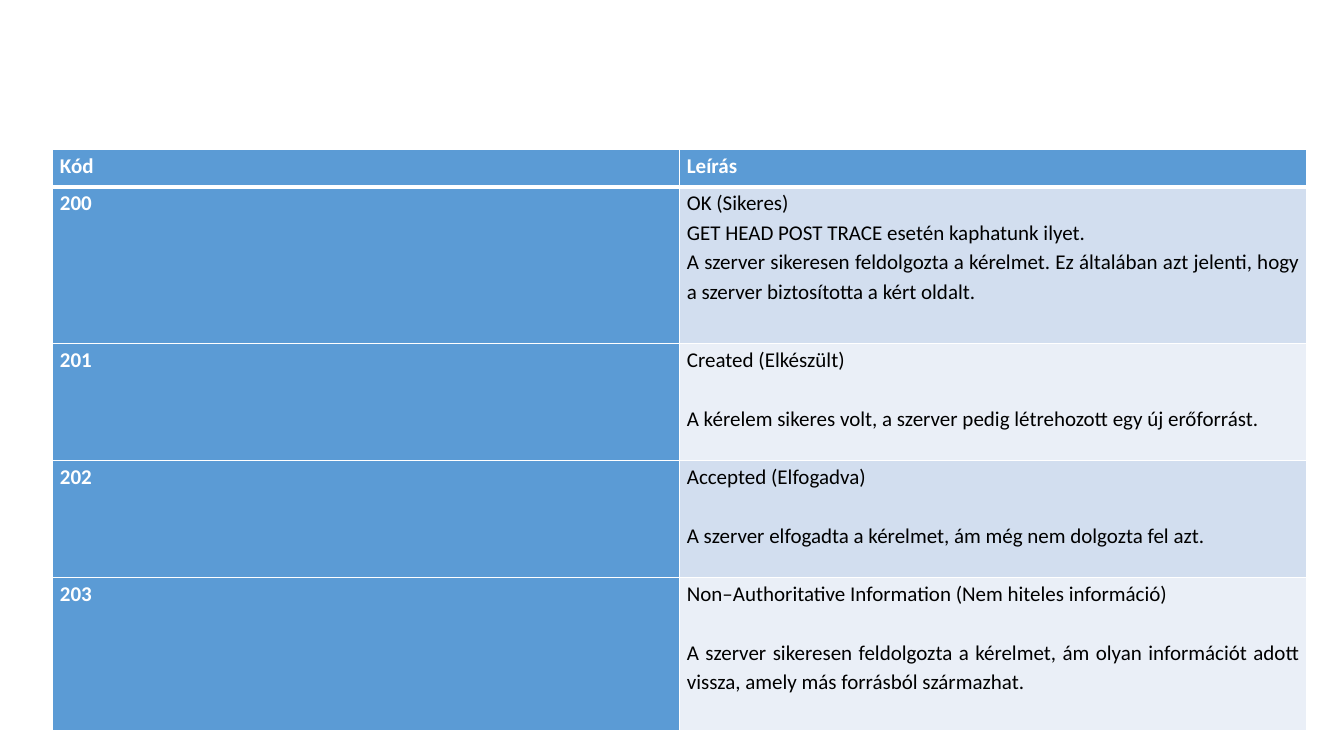
"""Build a slide with a table of HTTP success status codes."""
from dataclasses import dataclass

from lxml.etree import SubElement
from pptx import Presentation
from pptx.dml.color import RGBColor
from pptx.enum.text import PP_ALIGN
from pptx.oxml.ns import qn
from pptx.table import _Cell
from pptx.util import Cm, Length, Pt


@dataclass(frozen=True)
class Theme:
    font: str = "Calibri"
    size: Length = Pt(15)
    line_spacing: float = 1.15
    blue: str = "5B9BD5"
    bands: tuple[str, str] = ("D2DEEF", "EAEFF7")
    white: str = "FFFFFF"
    black: str = "000000"
    thin: Length = Pt(1)
    thick: Length = Pt(3)


@dataclass(frozen=True)
class StatusRow:
    code: str
    lines: tuple[str, ...]
    height: Length
    gap: Length = Cm(0)


THEME = Theme()
LINE_GAP = Cm(0.74)
COLUMN_WIDTH = Cm(15.8)
HEADER = StatusRow("Kód", ("Leírás",), Cm(0.94))
STATUSES = (
    StatusRow("200", (
        "OK (Sikeres)",
        "GET HEAD POST TRACE esetén kaphatunk ilyet.",
        "A szerver sikeresen feldolgozta a kérelmet. Ez általában azt jelenti, "
        "hogy a szerver biztosította a kért oldalt.",
    ), Cm(3.94)),
    StatusRow("201", (
        "Created (Elkészült)",
        "A kérelem sikeres volt, a szerver pedig létrehozott egy új erőforrást.",
    ), Cm(2.95), LINE_GAP),
    StatusRow("202", (
        "Accepted (Elfogadva)",
        "A szerver elfogadta a kérelmet, ám még nem dolgozta fel azt.",
    ), Cm(2.95), LINE_GAP),
    StatusRow("203", (
        "Non–Authoritative Information (Nem hiteles információ)",
        "A szerver sikeresen feldolgozta a kérelmet, ám olyan információt adott "
        "vissza, amely más forrásból származhat.",
    ), Cm(3.86), LINE_GAP),
)


def draw_borders(cell: _Cell, top: Length, bottom: Length) -> None:
    properties = cell._tc.get_or_add_tcPr()
    widths = {"lnL": THEME.thin, "lnR": THEME.thin, "lnT": top, "lnB": bottom}
    for tag, width in widths.items():
        line = SubElement(properties, qn(f"a:{tag}"), w=str(int(width)))
        fill = SubElement(line, qn("a:solidFill"))
        SubElement(fill, qn("a:srgbClr"), val=THEME.white)


def fill_cell(cell: _Cell, lines: tuple[str, ...], gap: Length, fill: str,
              heading: bool) -> None:
    cell.margin_left = cell.margin_right = Cm(0.18)
    cell.margin_top = cell.margin_bottom = Cm(0)
    cell.fill.solid()
    cell.fill.fore_color.rgb = RGBColor.from_string(fill)
    cell.text = "\n".join(lines)
    for index, para in enumerate(cell.text_frame.paragraphs):
        para.alignment = PP_ALIGN.JUSTIFY
        para.line_spacing = THEME.line_spacing
        para.space_before = gap if index else Cm(0)
        para.font.name = THEME.font
        para.font.size = THEME.size
        para.font.bold = heading
        color = THEME.white if heading else THEME.black
        para.font.color.rgb = RGBColor.from_string(color)


deck = Presentation()
deck.slide_width, deck.slide_height = Cm(33.87), Cm(19.05)
page = deck.slides.add_slide(deck.slide_layouts[6])
rows = (HEADER, *STATUSES)
table = page.shapes.add_table(
    len(rows), 2, Cm(1.33), Cm(3.77), 2 * COLUMN_WIDTH,
    sum(row.height for row in rows),
).table
table.first_row = table.horz_banding = False
for column in table.columns:
    column.width = COLUMN_WIDTH

for number, row in enumerate(rows):
    table.rows[number].height = row.height
    is_header = row is HEADER
    band = THEME.blue if is_header else THEME.bands[(number - 1) % 2]
    top = THEME.thick if number == 1 else THEME.thin
    bottom = THEME.thick if is_header else THEME.thin
    code_cell, text_cell = table.cell(number, 0), table.cell(number, 1)
    for cell in (code_cell, text_cell):
        draw_borders(cell, top, bottom)
    fill_cell(code_cell, (row.code,), Cm(0), THEME.blue, True)
    fill_cell(text_cell, row.lines, row.gap, band, is_header)

deck.save("out.pptx")
